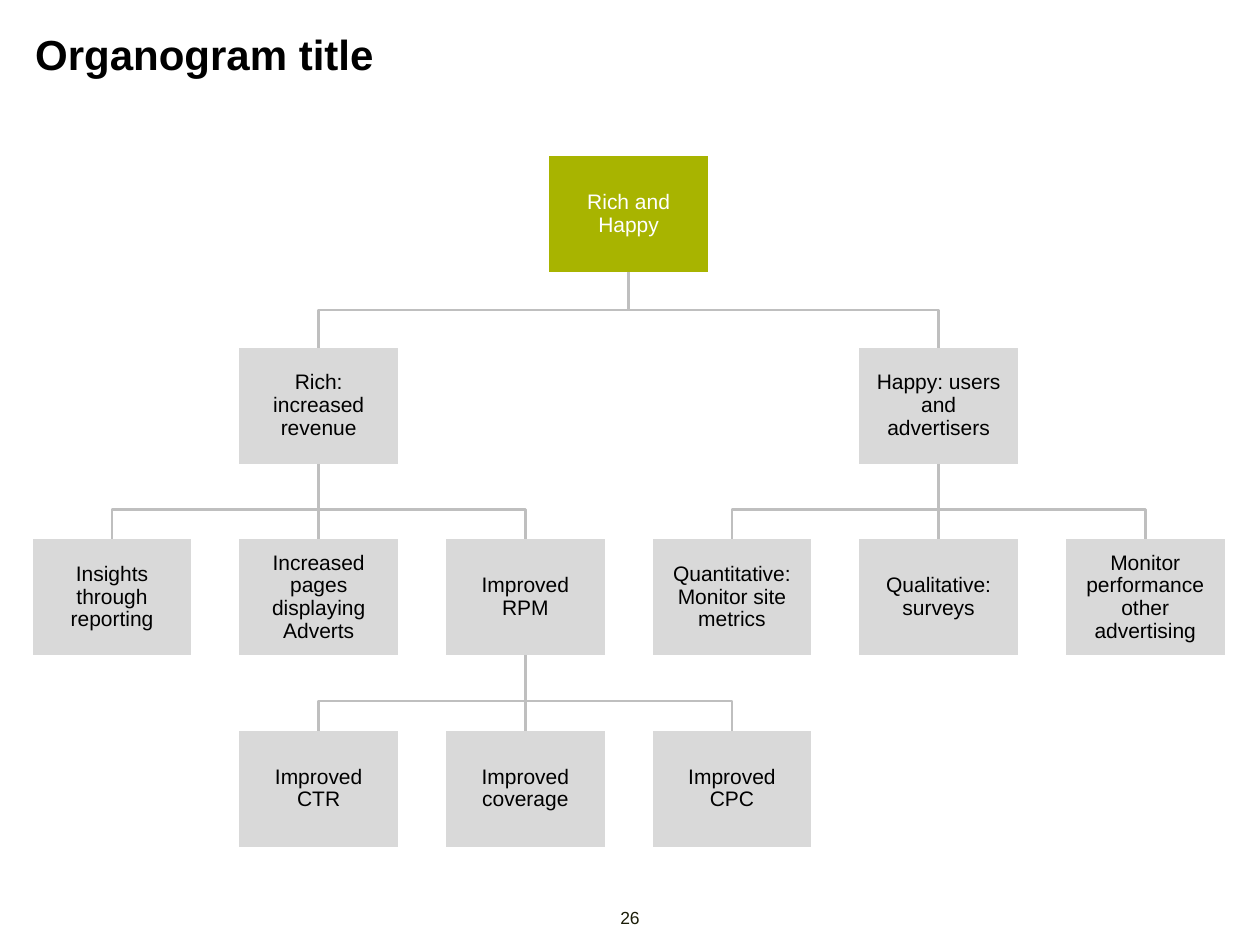
from pptx import Presentation
from pptx.dml.color import RGBColor
from pptx.enum.shapes import MSO_CONNECTOR as CONN, MSO_SHAPE as SHAPE
from pptx.enum.text import MSO_ANCHOR as ANCHOR, PP_ALIGN as ALIGN
from pptx.oxml.ns import qn
from pptx.util import Inches, Pt
from lxml import etree

BOX_W, BOX_H = 1.26, 0.92
GREY, LINE, GREEN = "D9D9D9", "BFBFBF", "A8B400"
BLACK, WHITE = "000000", "FFFFFF"
BOXES = [
    (2.5, 0, "Rich and Happy"),
    (1, 1, "Rich: increased revenue"),
    (4, 1, "Happy: users and advertisers"),
    (0, 2, "Insights through reporting"),
    (1, 2, "Increased pages displaying Adverts"),
    (2, 2, "Improved RPM"),
    (3, 2, "Quantitative: Monitor site metrics"),
    (4, 2, "Qualitative: surveys"),
    (5, 2, "Monitor performance other advertising"),
    (1, 3, "Improved CTR"),
    (2, 3, "Improved coverage"),
    (3, 3, "Improved CPC"),
]


def rgb(color):
    return RGBColor.from_string(color)


def left(col):
    return 0.26 + 1.64 * col


def center(col):
    return left(col) + BOX_W / 2


def top(row):
    return 1.24 + 1.52 * row


def write(tf, text, size, color, align, margin=0, bold=False):
    tf.word_wrap = True
    tf.margin_left = tf.margin_right = Inches(margin)
    tf.margin_top = tf.margin_bottom = Inches(margin)
    p = tf.paragraphs[0]
    p.text = text
    p.alignment = align
    p.font.name = "Arial"
    p.font.size = Pt(size)
    p.font.bold = bold
    p.font.color.rgb = rgb(color)
    return p


def add_text(s, x, y, w, h, text, size, color, align, bold=False):
    box = s.shapes.add_textbox(Inches(x), Inches(y), Inches(w), Inches(h))
    write(box.text_frame, text, size, color, align, bold=bold)


def add_box(s, col, row, text):
    sp = s.shapes.add_shape(SHAPE.FLOWCHART_PROCESS, Inches(left(col)),
                            Inches(top(row)), Inches(BOX_W), Inches(BOX_H))
    sp.shadow.inherit = False
    sp.fill.solid()
    sp.fill.fore_color.rgb = rgb(GREY if row else GREEN)
    sp.line.fill.background()
    sp.text_frame.vertical_anchor = ANCHOR.MIDDLE
    p = write(sp.text_frame, text, 12, BLACK if row else WHITE, ALIGN.CENTER, 0.1)
    p.line_spacing = 0.9


def add_line(s, kind, x1, y1, x2, y2):
    cxn = s.shapes.add_connector(kind, Inches(x1), Inches(y1), Inches(x2), Inches(y2))
    cxn.line.color.rgb = rgb(LINE)
    cxn.line.width = Pt(1.5)
    etree.SubElement(cxn._element.spPr, qn("a:effectLst"))
    return cxn


def add_elbow(s, x1, y1, x2, y2, bend=0.5):
    cx, cy = (x1 + x2) / 2, (y1 + y2) / 2
    dx, dy = (x2 - x1) / 2, (y2 - y1) / 2
    cxn = add_line(s, CONN.ELBOW, cx + dy, cy - dx, cx - dy, cy + dx)
    spPr = cxn._element.spPr
    spPr.find(qn("a:xfrm")).set("rot", str(270 * 60000))
    guides = spPr.find(qn("a:prstGeom")).get_or_add_avLst()
    etree.SubElement(guides, qn("a:gd"), name="adj1", fmla=f"val {round(bend * 100000)}")


def add_children(s, col, row):
    y = top(row)
    add_elbow(s, center(col + 1), y + 0.01, center(col - 1), y, bend=25)
    add_line(s, CONN.STRAIGHT, center(col), top(row - 1) + BOX_H, center(col), y)


def main():
    prs = Presentation()
    prs.slide_width, prs.slide_height = Inches(10), Inches(7.5)
    s = prs.slides.add_slide(prs.slide_layouts[6])
    add_text(s, 4.85, 7.2, 0.3, 0.17, "26", 10, "1B1D08", ALIGN.CENTER)
    add_text(s, 0.28, 0.23, 9.44, 0.4, "Organogram title", 24, BLACK, ALIGN.LEFT, True)
    for col in (1, 4):
        add_elbow(s, center(2.5), top(0) + BOX_H, center(col), top(1))
    for col, row in ((1, 2), (4, 2), (2, 3)):
        add_children(s, col, row)
    for col, row, text in BOXES:
        add_box(s, col, row, text)
    prs.save("out.pptx")


main()
